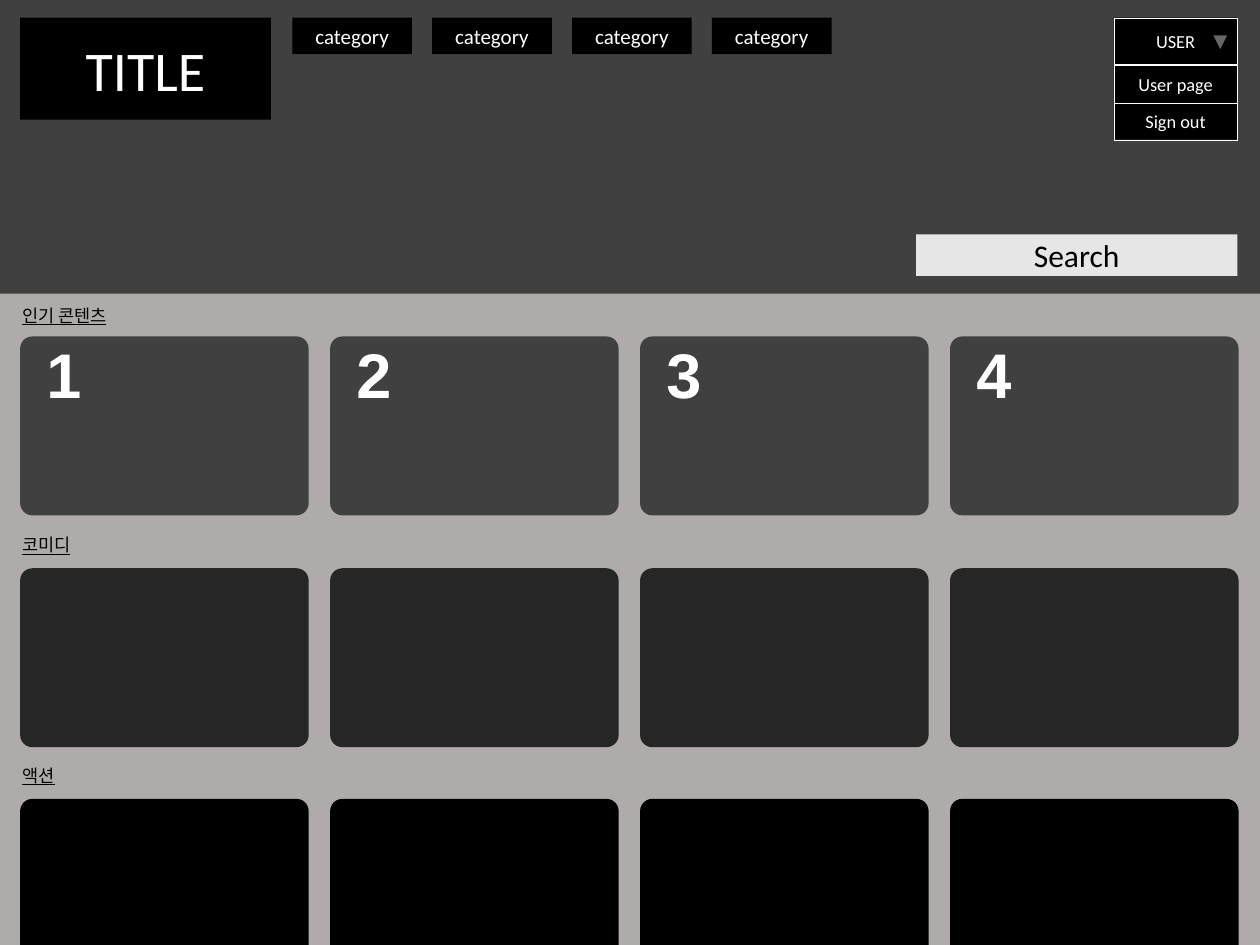
from pptx import Presentation
from pptx.dml.color import RGBColor
from pptx.enum.shapes import MSO_SHAPE
from pptx.enum.text import MSO_ANCHOR, MSO_AUTO_SIZE, PP_ALIGN
from pptx.oxml.xmlchemy import OxmlElement
from pptx.util import Inches, Pt

BLACK, WHITE, CHARCOAL = "000000", "FFFFFF", "404040"


def color(hex_text):
    """Turn a hex string into a colour."""
    return RGBColor.from_string(hex_text)


class Wireframe:
    """Hold the style and the current slide."""

    font = "Calibri"

    def __init__(self, page, background):
        """Keep the slide and paint its background."""
        self.page = page
        page.background.fill.solid()
        page.background.fill.fore_color.rgb = color(background)

    def caption(self, box, text, size, ink, align, font=None):
        """Put one formatted paragraph into a box."""
        frame = box.text_frame
        frame.text = text
        frame.word_wrap = True
        para = frame.paragraphs[0]
        para.alignment = align
        span = para.runs[0]
        span.font.name = font or self.font
        span.font.size = Pt(size)
        span.font.color.rgb = color(ink)
        return span

    def block(self, left, top, width, height, fill,
              kind=MSO_SHAPE.RECTANGLE, line=None):
        """Draw a filled preset shape."""
        box = self.page.shapes.add_shape(
            kind, Inches(left), Inches(top), Inches(width), Inches(height))
        box.shadow.inherit = False
        box.fill.solid()
        box.fill.fore_color.rgb = color(fill)
        if line:
            box.line.color.rgb = color(line)
            box.line.width = Pt(0.1)
        else:
            box.line.fill.background()
        return box

    def button(self, left, top, width, height, text, size,
               fill=BLACK, ink=WHITE, line=None):
        """Draw a rectangle with a centred caption."""
        box = self.block(left, top, width, height, fill, line=line)
        box.text_frame.vertical_anchor = MSO_ANCHOR.MIDDLE
        self.caption(box, text, size, ink, PP_ALIGN.CENTER)

    def card(self, left, top, fill):
        """Draw one rounded content card."""
        box = self.block(left, top, 2.29, 1.42, fill,
                         MSO_SHAPE.ROUNDED_RECTANGLE)
        box.adjustments[0] = 0.068

    def label(self, left, top, width, height, text, size, ink, font=None):
        """Add a left-aligned text box and return its run."""
        box = self.page.shapes.add_textbox(
            Inches(left), Inches(top), Inches(width), Inches(height))
        span = self.caption(box, text, size, ink, PP_ALIGN.LEFT, font)
        box.text_frame.auto_size = MSO_AUTO_SIZE.SHAPE_TO_FIT_TEXT
        return span

    def title(self, left, top, width, height, text, size, above):
        """Format the title placeholder and stack it above a shape."""
        box = self.page.shapes.title
        box.left, box.top = Inches(left), Inches(top)
        box.width, box.height = Inches(width), Inches(height)
        box.fill.solid()
        box.fill.fore_color.rgb = color(BLACK)
        self.caption(box, text, size, WHITE, PP_ALIGN.CENTER)
        box.text_frame.vertical_anchor = MSO_ANCHOR.MIDDLE
        box.text_frame.auto_size = MSO_AUTO_SIZE.NONE
        above.element.addnext(box.element)

    def dropdown_mark(self, left, top, size):
        """Draw the translucent triangle of the user menu."""
        mark = self.block(left, top, size, size, WHITE,
                          MSO_SHAPE.FLOWCHART_MERGE)
        alpha = OxmlElement("a:alpha")
        alpha.set("val", "40000")
        mark.element.spPr.xpath("a:solidFill/a:srgbClr")[0].append(alpha)


deck = Presentation()
deck.slide_width, deck.slide_height = Inches(10), Inches(7.5)
wire = Wireframe(deck.slides.add_slide(deck.slide_layouts[5]), "AFABAB")

# Header
header = wire.block(0, -0.01, 10, 2.34, CHARCOAL)
wire.title(0.16, 0.14, 1.99, 0.81, "TITLE", 32, header)
for index in range(4):
    wire.button(2.32 + 1.11 * index, 0.14, 0.95, 0.29, "category", 12)
for text, top, height in (("USER", 0.14, 0.37), ("Sign out", 0.81, 0.3),
                          ("User page", 0.52, 0.3)):
    wire.button(8.84, top, 0.98, height, text, 10.5, line=WHITE)
wire.dropdown_mark(9.63, 0.28, 0.11)
wire.button(7.27, 1.86, 2.55, 0.33, "Search", 18, "E7E6E6", BLACK)

# Content rows
columns = [0.16 + 2.46 * index for index in range(4)]
rows = (("인기 콘텐츠", 2.37, 2.67, CHARCOAL),
        ("코미디", 4.19, 4.51, "262626"),
        ("액션", 6.02, 6.34, BLACK))
for heading, heading_top, card_top, fill in rows:
    for left in columns:
        wire.card(left, card_top, fill)
    wire.label(0.08, heading_top, 1.01, 0.27, heading, 10,
               BLACK).font.underline = True
for rank, left in enumerate(columns, 1):
    wire.label(left + 0.11, 2.61, 0.52, 0.71, str(rank), 36, WHITE,
               "Arial").font.bold = True

deck.save("out.pptx")
